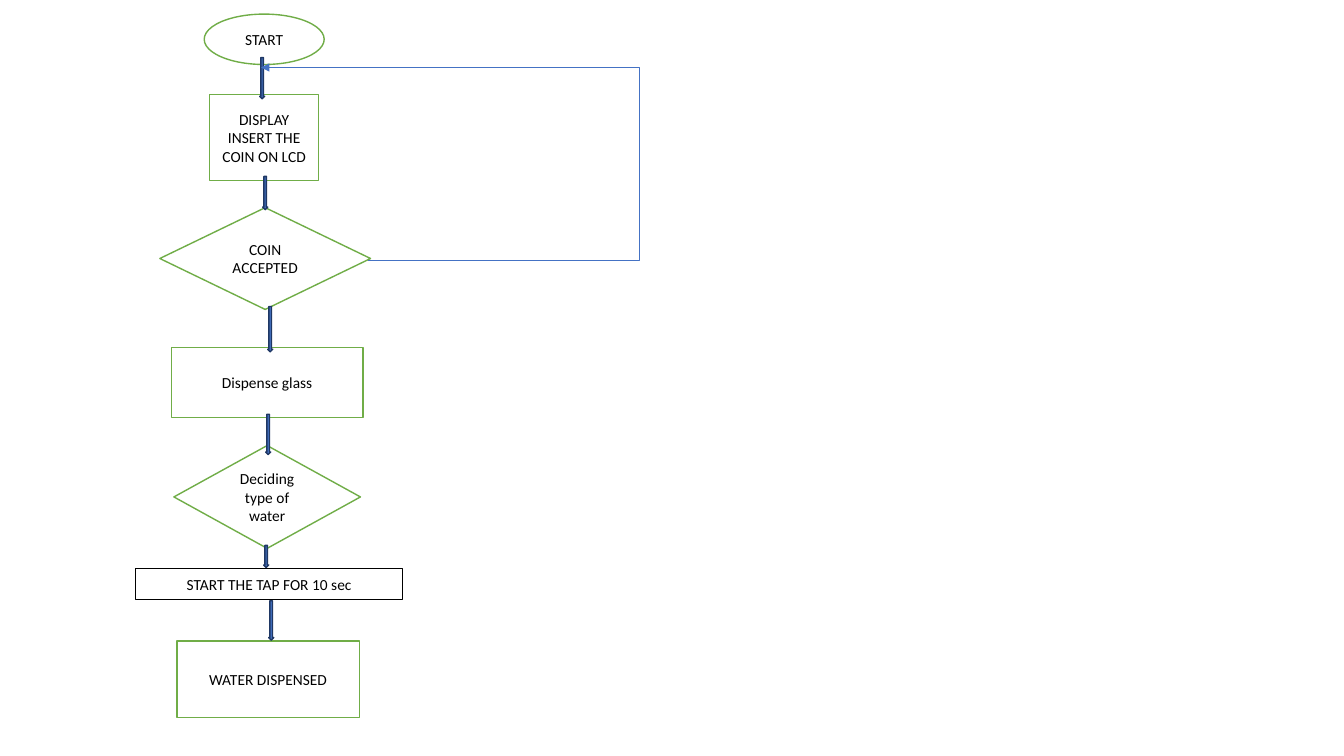
from lxml.etree import SubElement
from pptx import Presentation
from pptx.dml.color import RGBColor
from pptx.enum.shapes import MSO_CONNECTOR, MSO_SHAPE
from pptx.enum.text import MSO_ANCHOR, PP_ALIGN
from pptx.oxml.ns import qn
from pptx.util import Inches, Pt

COLS, ROWS = 13.33, 7.5  # one-inch grid
GREEN, BLACK, WHITE = "70AD47", "000000", "FFFFFF"
BLUE, NAVY = "4472C4", "1F3763"
ARROW_WIDTH = 0.05

# kind, text, centre column, top row, width, height, outline
STEPS = [
    (MSO_SHAPE.OVAL, "START", 2.62, 0.14, 1.19, 0.5, GREEN),
    (MSO_SHAPE.RECTANGLE, "DISPLAY INSERT THE COIN ON LCD", 2.62, 0.94, 1.08, 0.85, GREEN),
    (MSO_SHAPE.DIAMOND, "COIN ACCEPTED", 2.63, 2.06, 2.09, 1.01, GREEN),
    (MSO_SHAPE.RECTANGLE, "Dispense glass", 2.65, 3.45, 1.9, 0.69, GREEN),
    (MSO_SHAPE.DIAMOND, "Deciding type of water", 2.65, 4.42, 1.85, 1.02, GREEN),
    (MSO_SHAPE.RECTANGLE, "WATER DISPENSED", 2.66, 6.36, 1.81, 0.76, GREEN),
    (MSO_SHAPE.RECTANGLE, "START THE TAP FOR 10 sec", 2.67, 5.64, 2.65, 0.31, BLACK),
]

# centre column, top row, length
ARROWS = [
    (2.6, 0.57, 0.41),
    (2.63, 1.75, 0.33),
    (2.68, 3.04, 0.45),
    (2.66, 4.11, 0.4),
    (2.69, 5.96, 0.39),
    (2.64, 5.41, 0.22),
]


def rgb(color):
    return RGBColor.from_string(color)


def add_block(s, kind, center, top, width, height, fill, line):
    sp = s.shapes.add_shape(kind, Inches(center - width / 2), Inches(top),
                            Inches(width), Inches(height))
    sp.shadow.inherit = False
    sp.fill.solid()
    sp.fill.fore_color.rgb = rgb(fill)
    sp.line.color.rgb = rgb(line)
    sp.line.width = Pt(1)
    return sp


def write(sp, text, size=11, font="Calibri", color=BLACK):
    tf = sp.text_frame
    tf.word_wrap = True
    tf.vertical_anchor = MSO_ANCHOR.MIDDLE
    p = tf.paragraphs[0]
    p.alignment = PP_ALIGN.CENTER
    r = p.add_run()
    r.text = text
    r.font.size = Pt(size)
    r.font.name = font
    r.font.color.rgb = rgb(color)


def add_loop(s, start, end, turn):
    """Elbow arrow from start to end whose upright part stands at column turn."""
    c = s.shapes.add_connector(MSO_CONNECTOR.ELBOW, *map(Inches, start + end))
    c.line.color.rgb = rgb(BLUE)
    c.line.width = Pt(0.5)
    props = c._element.spPr
    bend = round(100000 * (turn - start[0]) / (end[0] - start[0]))
    guides = props.find(qn("a:prstGeom")).get_or_add_avLst()
    SubElement(guides, qn("a:gd"), name="adj1", fmla=f"val {bend}")
    SubElement(props.find(qn("a:ln")), qn("a:tailEnd"), type="triangle")
    SubElement(props, qn("a:effectLst"))


def main():
    prs = Presentation()
    prs.slide_width, prs.slide_height = Inches(COLS), Inches(ROWS)
    s = prs.slides.add_slide(prs.slide_layouts[6])
    for kind, text, center, top, width, height, line in STEPS:
        write(add_block(s, kind, center, top, width, height, WHITE, line), text)
    for center, top, length in ARROWS:
        add_block(s, MSO_SHAPE.DOWN_ARROW, center, top, ARROW_WIDTH, length, BLUE, NAVY)
    add_loop(s, (3.65, 2.58), (2.59, 0.67), turn=6.34)
    prs.save("out.pptx")


if __name__ == "__main__":
    main()
